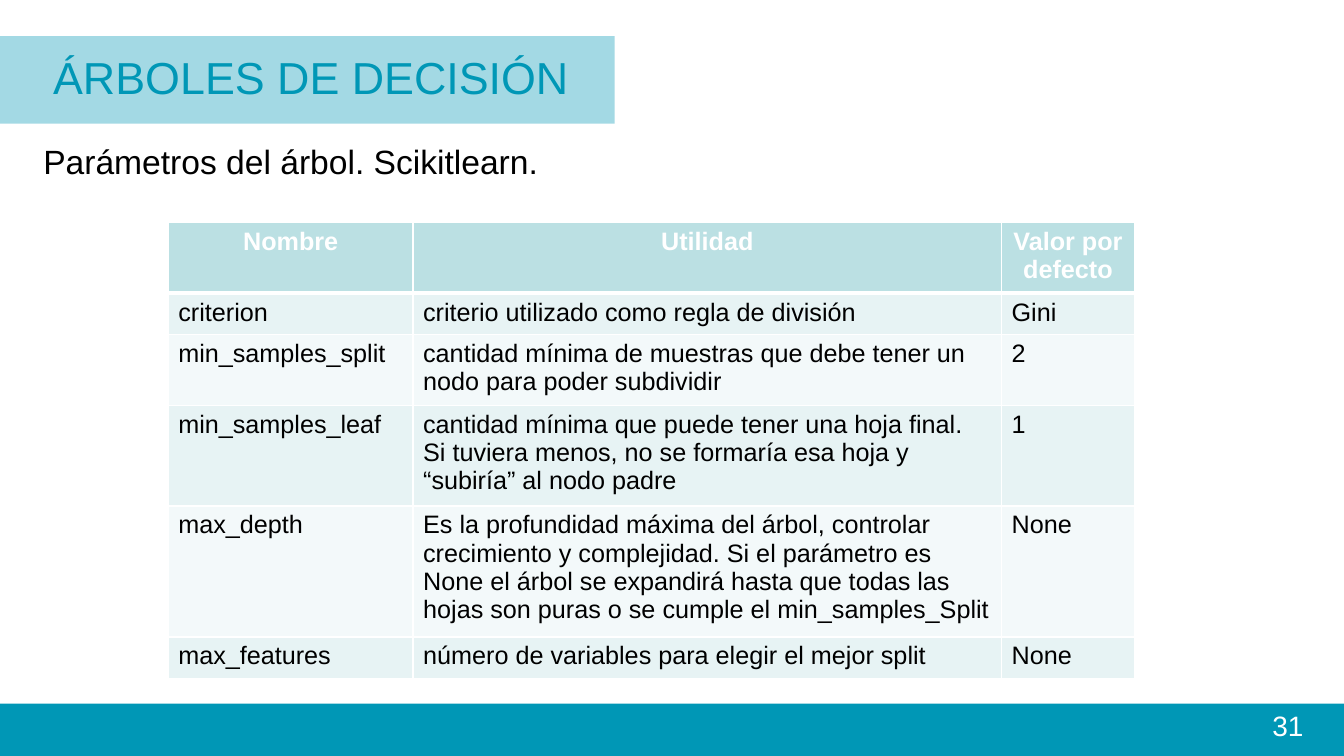
from dataclasses import dataclass

from lxml.etree import SubElement
from pptx import Presentation
from pptx.dml.color import RGBColor
from pptx.enum.shapes import MSO_SHAPE
from pptx.enum.text import MSO_ANCHOR, MSO_AUTO_SIZE, PP_ALIGN
from pptx.oxml.ns import qn
from pptx.util import Cm, Pt


@dataclass(frozen=True)
class Theme:
    font: str = "Arial"
    teal: str = "0097B6"
    white: str = "FFFFFF"
    black: str = "000000"
    header: str = "BBE0E3"
    bands: tuple = ("E7F3F4", "F3F9FA")
    heading_size: int = 32
    title_size: int = 24
    number_size: int = 20
    table_size: int = 18


theme = Theme()


def write(text_frame, text, size, color, align=PP_ALIGN.LEFT, bold=False):
    text_frame.text = text
    text_frame.word_wrap = True
    paragraph = text_frame.paragraphs[0]
    paragraph.alignment = align
    font = paragraph.runs[0].font
    font.name, font.size, font.bold = theme.font, Pt(size), bold
    font.color.rgb = RGBColor.from_string(color)


def add_border(cell, side, width):
    line = SubElement(cell._tc.get_or_add_tcPr(), qn(f"a:ln{side}"), w=str(Pt(width)))
    fill = SubElement(line, qn("a:solidFill"))
    SubElement(fill, qn("a:srgbClr"), val=theme.white)


presentation = Presentation()
presentation.slide_width, presentation.slide_height = Cm(33.87), Cm(19.05)
slide = presentation.slides.add_slide(presentation.slide_layouts[5])

# Footer bar and translucent heading band, both bleeding past the left edge
bars = []
for top, width, height in ((17.73, 35.97, 1.32), (0.91, 16.61, 2.21)):
    bar = slide.shapes.add_shape(
        MSO_SHAPE.RECTANGLE, Cm(-1.12), Cm(top), Cm(width), Cm(height))
    bar.shadow.inherit = False
    bar.fill.solid()
    bar.fill.fore_color.rgb = RGBColor.from_string(theme.teal)
    bar.line.fill.background()
    bars.append(bar)
footer_bar, heading_band = bars
band_color = heading_band.element.spPr.find(f"{qn('a:solidFill')}/{qn('a:srgbClr')}")
SubElement(band_color, qn("a:alpha"), val="36000")

# Slide number
number = slide.shapes.add_textbox(Cm(27.18), Cm(17.73), Cm(5.92), Cm(1.32))
write(number.text_frame, "31", theme.number_size, theme.white, PP_ALIGN.RIGHT)

# Section heading
heading = slide.shapes.add_textbox(Cm(1.09), Cm(1.12), Cm(15.85), Cm(1.6))
write(heading.text_frame, "ÁRBOLES DE DECISIÓN", theme.heading_size, theme.teal)
heading.text_frame.vertical_anchor = MSO_ANCHOR.MIDDLE

# Slide title
title = slide.shapes.title
title.left, title.top, title.width, title.height = Cm(1.09), Cm(3.91), Cm(30.48), Cm(0.41)
frame = title.text_frame
write(frame, "Parámetros del árbol. Scikitlearn.", theme.title_size, theme.black)
frame.auto_size = MSO_AUTO_SIZE.NONE
frame.vertical_anchor = MSO_ANCHOR.MIDDLE
frame.margin_left = frame.margin_right = frame.margin_top = frame.margin_bottom = 0
frame.paragraphs[0].line_spacing = 0.9

# Parameter table
parameters = [
    ("Nombre", "Utilidad", "Valor por defecto"),
    ("criterion", "criterio utilizado como regla de división", "Gini"),
    ("min_samples_split",
     "cantidad mínima de muestras que debe tener un nodo para poder subdividir", "2"),
    ("min_samples_leaf",
     "cantidad mínima que puede tener una hoja final. Si tuviera menos, "
     "no se formaría esa hoja y “subiría” al nodo padre", "1"),
    ("max_depth",
     "Es la profundidad máxima del árbol, controlar crecimiento y complejidad. "
     "Si el parámetro es None el árbol se expandirá hasta que todas las hojas "
     "son puras o se cumple el min_samples_Split", "None"),
    ("max_features", "número de variables para elegir el mejor split", "None"),
]
column_widths = (6.17, 14.83, 3.35)
row_heights = (1.65, 1.04, 1.67, 2.39, 3.1, 1.04)
table = slide.shapes.add_table(
    len(row_heights), len(column_widths), Cm(4.24), Cm(5.61),
    Cm(sum(column_widths)), Cm(sum(row_heights))).table
for column, width in zip(table.columns, column_widths):
    column.width = Cm(width)

for row_index, (values, height) in enumerate(zip(parameters, row_heights)):
    table.rows[row_index].height = Cm(height)
    is_header = row_index == 0
    if is_header:
        fill, color, align = theme.header, theme.white, PP_ALIGN.CENTER
    else:
        fill, color, align = theme.bands[(row_index - 1) % 2], theme.black, PP_ALIGN.LEFT
    border_widths = {"L": 1, "R": 1, "T": 3 if row_index == 1 else 1, "B": 3 if is_header else 1}
    for column_index, value in enumerate(values):
        cell = table.cell(row_index, column_index)
        write(cell.text_frame, value, theme.table_size, color, align, is_header)
        for side, width in border_widths.items():
            add_border(cell, side, width)
        cell.fill.solid()
        cell.fill.fore_color.rgb = RGBColor.from_string(fill)

presentation.save("out.pptx")
